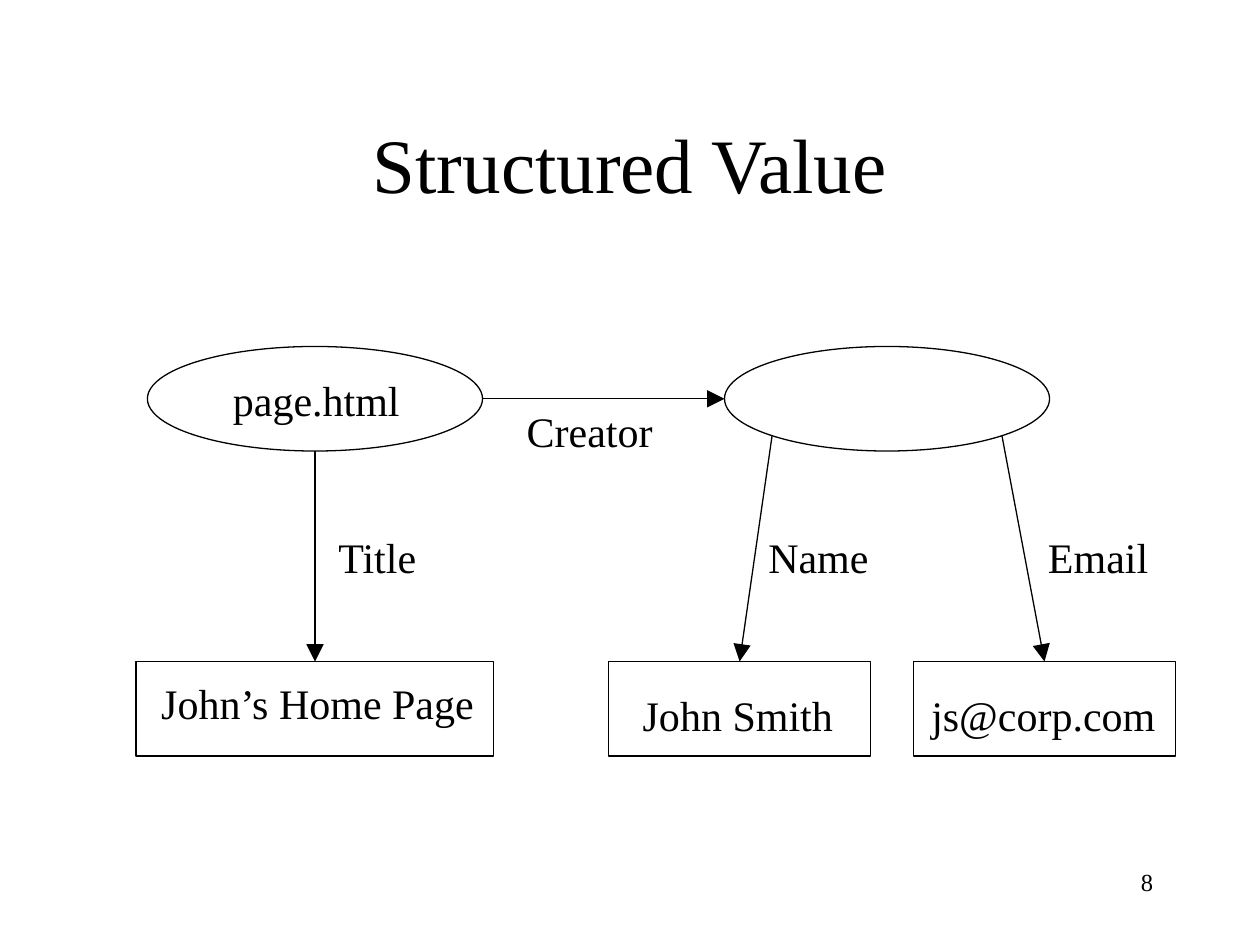
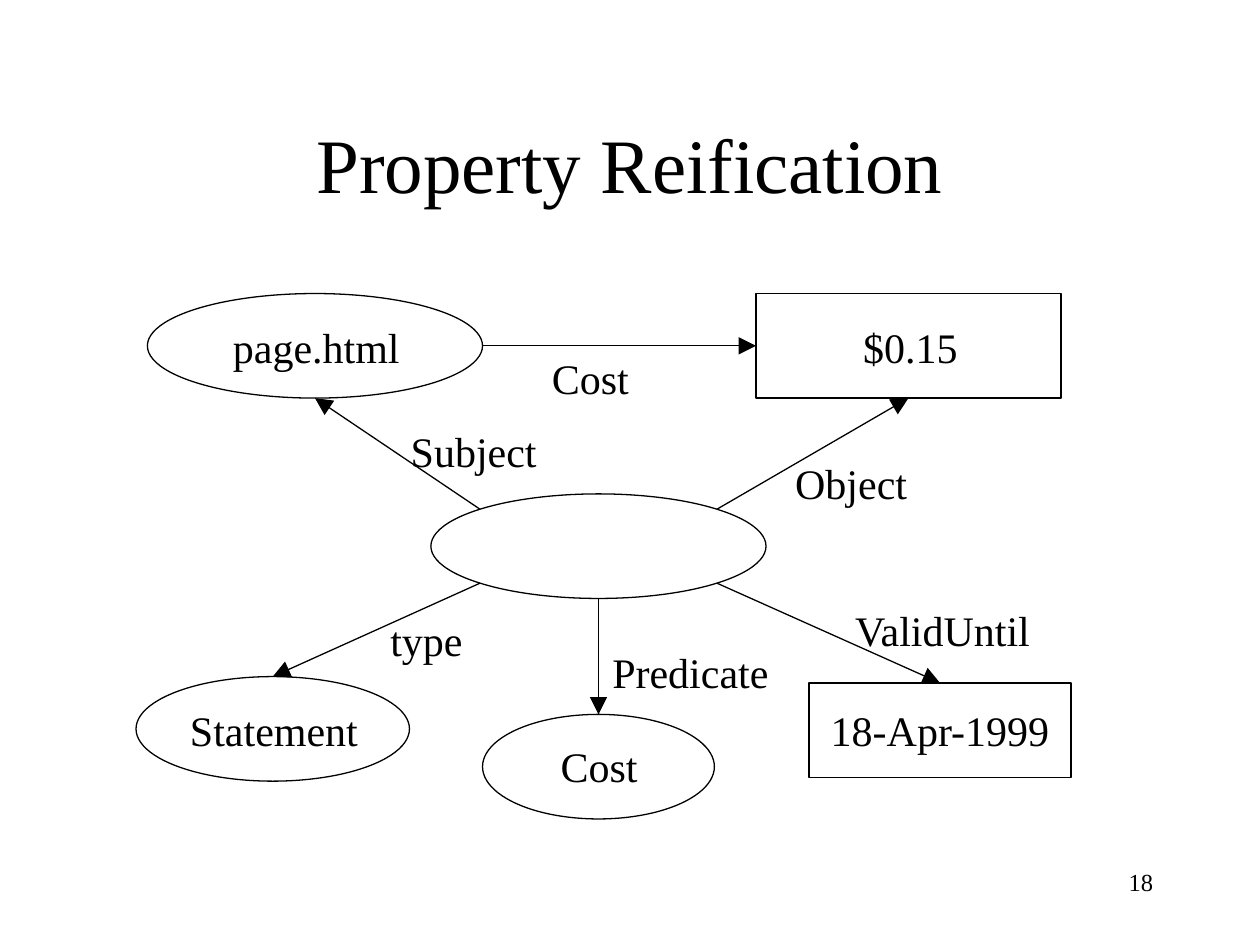
import math
import pptx
import pptx.util
import pptx.dml.color
import pptx.enum.shapes
import pptx.enum.text
import pptx.oxml
import pptx.oxml.ns
from pptx.util import Inches

COLORS = {"ink": "000000", "paper": "FFFFFF"}
FONT = "Times New Roman"
TITLE_BOX = (0.75, 0.67, 8.5, 1.25)
NUMBER_BOX = (7.17, 6.83, 2.08, 0.5)
LABEL_HEIGHT = 0.5
LINE_WIDTH = 0.75

SLIDES = [
    {
        "title": "Structured Value",
        "number": "8",
        "nodes": {
            "page": ("ellipse", (1.17, 2.75, 2.66, 0.83), "page.html", (1.75, 2.92, 1.52)),
            "heading": ("rect", (1.08, 5.25, 2.84, 0.75), "John’s Home Page", (1.17, 5.33, 2.7)),
            "creator": ("ellipse", (5.75, 2.75, 2.58, 0.83), None, None),
            "name": ("rect", (4.83, 5.25, 2.08, 0.75), "John Smith", (5, 5.42, 1.71)),
            "email": ("rect", (7.25, 5.25, 2.08, 0.75), "js@corp.com", (7.29, 5.42, 1.98)),
        },
        "edges": [
            ("page", "S", "heading", "N", "Title", (2.58, 4.17, 0.83)),
            ("page", "E", "creator", "W", "Creator", (4.08, 3.17, 1.2)),
            ("creator", "SW", "name", "N", "Name", (6, 4.17, 0.99)),
            ("creator", "SE", "email", "N", "Email", (8.22, 4.17, 0.99)),
        ],
    },
    {
        "title": "Property Reification",
        "number": "18",
        "nodes": {
            "page": ("ellipse", (1.17, 2.33, 2.66, 0.83), "page.html", (1.75, 2.5, 1.52)),
            "price": ("rect", (6, 2.33, 2.42, 0.83), "$0.15", (6.75, 2.5, 0.95)),
            "date": ("rect", (6.42, 5.42, 2.08, 0.75), "18-Apr-1999", (6.49, 5.54, 1.94)),
            "reified": ("ellipse", (3.42, 3.92, 2.66, 0.83), None, None),
            "statement": ("ellipse", (1.08, 5.37, 2.17, 0.83), "Statement", (1.41, 5.54, 1.53)),
            "cost": ("ellipse", (3.83, 5.67, 1.84, 0.83), "Cost", (4.35, 5.83, 0.81)),
        },
        "edges": [
            ("page", "E", "price", "W", "Cost", (4.28, 2.75, 0.81)),
            ("reified", "SE", "date", "N", "ValidUntil", (6.67, 4.75, 1.62)),
            ("reified", "NE", "price", "S", "Object", (6.21, 3.58, 1.09)),
            ("reified", "NW", "page", "S", "Subject", (3.16, 3.33, 1.2)),
            ("reified", "SW", "statement", "N", "type", (3, 4.83, 0.77)),
            ("reified", "S", "cost", "N", "Predicate", (4.76, 5.08, 1.44)),
        ],
    },
]

SHAPES = pptx.enum.shapes.MSO_SHAPE
KINDS = {"ellipse": SHAPES.OVAL, "rect": SHAPES.RECTANGLE}
RECT_SITES = {"N": 0, "W": 1, "S": 2, "E": 3}
STEPS = {"N": (0, -1), "S": (0, 1), "W": (-1, 0), "E": (1, 0)}
ALIGN = pptx.enum.text.PP_ALIGN
ANCHOR = pptx.enum.text.MSO_ANCHOR
FIT = pptx.enum.text.MSO_AUTO_SIZE

FRAMES = {
    "title": {"word_wrap": True, "auto_size": FIT.NONE, "vertical_anchor": ANCHOR.MIDDLE},
    "label": {
        "word_wrap": False,
        "auto_size": FIT.SHAPE_TO_FIT_TEXT,
        "vertical_anchor": ANCHOR.MIDDLE,
        "margin_left": Inches(0.05),
        "margin_right": Inches(0.05),
    },
    "number": {"word_wrap": True, "auto_size": FIT.NONE, "vertical_anchor": ANCHOR.TOP},
}
SIZES = {"title": 44, "label": 24, "number": 14}
ALIGNMENTS = {"title": ALIGN.CENTER, "label": ALIGN.CENTER, "number": ALIGN.RIGHT}


def color(name):
    return pptx.dml.color.RGBColor.from_string(COLORS[name])


def inches(values):
    return [Inches(v) for v in values]


def write(sp, text, role):
    tf = sp.text_frame
    for key, value in FRAMES[role].items():
        setattr(tf, key, value)
    p = tf.paragraphs[0]
    p.alignment = ALIGNMENTS[role]
    r = p.add_run()
    r.text = text
    look = {"name": FONT, "size": pptx.util.Pt(SIZES[role]), "bold": False}
    for key, value in look.items():
        setattr(r.font, key, value)
    r.font.color.rgb = color("ink")


def add_text(s, text, box, role):
    write(s.shapes.add_textbox(*inches(box)), text, role)


def draw_line(sp):
    sp.line.color.rgb = color("ink")
    sp.line.width = pptx.util.Pt(LINE_WIDTH)


def add_node(s, kind, box):
    sp = s.shapes.add_shape(KINDS[kind], *inches(box))
    sp.shadow.inherit = False
    sp.fill.background()
    draw_line(sp)
    return sp


def side_point(box, side):
    left, top, width, height = box
    dx = sum(STEPS[c][0] for c in side)
    dy = sum(STEPS[c][1] for c in side)
    reach = math.hypot(dx, dy)
    return left + width / 2 * (1 + dx / reach), top + height / 2 * (1 + dy / reach)


def add_arrow(s, nodes, shapes, start, start_side, end, end_side):
    points = side_point(nodes[start][1], start_side) + side_point(nodes[end][1], end_side)
    cx = s.shapes.add_connector(pptx.enum.shapes.MSO_CONNECTOR.STRAIGHT, *inches(points))
    if nodes[end][0] == "rect":
        cx.end_connect(shapes[end], RECT_SITES[end_side])
    draw_line(cx)
    qn = pptx.oxml.ns.qn
    ln = cx.line._get_or_add_ln()
    tail = ln.makeelement(qn("a:tailEnd"), {"type": "triangle", "w": "lg", "len": "lg"})
    ln.append(tail)
    ln.addnext(ln.makeelement(qn("a:effectLst"), {}))


def build_slide(prs, content):
    s = prs.slides.add_slide(prs.slide_layouts[5])
    s.background.fill.solid()
    s.background.fill.fore_color.rgb = color("paper")
    title = s.shapes.title
    for key, value in zip(("left", "top", "width", "height"), inches(TITLE_BOX)):
        setattr(title, key, value)
    write(title, content["title"], "title")

    nodes = content["nodes"]
    shapes = {name: add_node(s, kind, box) for name, (kind, box, _, _) in nodes.items()}
    for start, start_side, end, end_side, _, _ in content["edges"]:
        add_arrow(s, nodes, shapes, start, start_side, end, end_side)

    captions = [node[2:] for node in nodes.values() if node[2]]
    labels = [edge[4:] for edge in content["edges"]]
    for text, place in captions + labels:
        add_text(s, text, (*place, LABEL_HEIGHT), "label")
    add_text(s, content["number"], NUMBER_BOX, "number")


def main():
    prs = pptx.Presentation()
    prs.slide_width, prs.slide_height = inches((10, 7.5))
    for content in SLIDES:
        build_slide(prs, content)
    prs.save("out.pptx")


if __name__ == "__main__":
    main()
